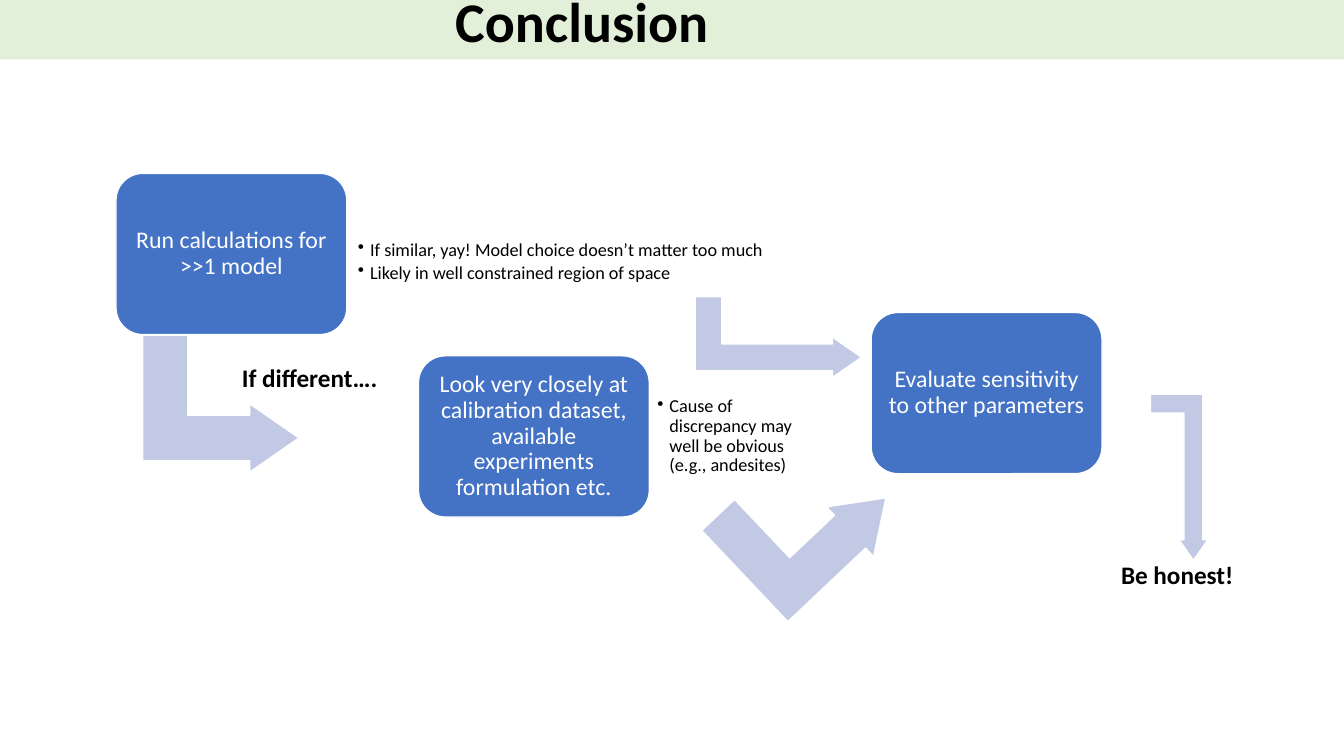
from pptx import Presentation
from pptx.util import Inches, Pt
from pptx.dml.color import RGBColor
from pptx.enum.shapes import MSO_SHAPE
from pptx.enum.text import MSO_ANCHOR, PP_ALIGN
from lxml.etree import SubElement
from pptx.oxml.ns import qn


class Flow:
    """Draw a flow chart on a slide with a grid of tenths of an inch."""

    font = "Calibri"
    hues = {"band": "E2F0D9", "node": "4472C4", "arrow": "C1C9E4",
            "edge": "FFFFFF", "light": "FFFFFF", "dark": "000000"}

    def __init__(self, deck):
        self.slide = deck.slides.add_slide(deck.slide_layouts[6])
        self.cell = Inches(0.1)

    def hue(self, name):
        return RGBColor.from_string(self.hues[name])

    def place(self, box):
        return [round(n * self.cell) for n in box]

    def shape(self, kind, box, fill, edge=True):
        item = self.slide.shapes.add_shape(kind, *self.place(box))
        item.shadow.inherit = False
        item.fill.solid()
        item.fill.fore_color.rgb = self.hue(fill)
        if edge:
            item.line.color.rgb = self.hue("edge")
            item.line.width = Pt(1)
        else:
            item.line.fill.background()
        return item

    def letter(self, item, lines, size, hue="dark", bold=False,
               align=PP_ALIGN.LEFT, anchor=MSO_ANCHOR.TOP,
               pad=None, space=1.0, dots=False):
        frame = item.text_frame
        frame.word_wrap = True
        frame.vertical_anchor = anchor
        if pad is not None:
            frame.margin_left = frame.margin_right = Inches(pad)
            frame.margin_top = frame.margin_bottom = Inches(pad)
        frame.text = "\n".join(lines)
        for para in frame.paragraphs:
            para.alignment = align
            para.line_spacing = space
            if dots:
                para.space_after = Pt(2)
                props = para._p.get_or_add_pPr()
                props.set("marL", str(Inches(0.12)))
                props.set("indent", str(-Inches(0.12)))
                SubElement(props, qn("a:buChar")).set("char", "•")
            font = para.font
            font.name, font.size, font.bold = self.font, Pt(size), bold
            font.color.rgb = self.hue(hue)

    def title(self, box, text):
        item = self.shape(MSO_SHAPE.RECTANGLE, box, "band", edge=False)
        self.letter(item, [text], 40, bold=True, align=PP_ALIGN.CENTER)

    def node(self, left, top, text):
        box = left, top, 22.9, 16
        item = self.shape(MSO_SHAPE.ROUNDED_RECTANGLE, box, "node")
        self.letter(item, [text], 17, "light", align=PP_ALIGN.CENTER,
                    anchor=MSO_ANCHOR.MIDDLE, pad=0.07, space=0.9)

    def text(self, box, lines, size, **style):
        item = self.slide.shapes.add_textbox(*self.place(box))
        self.letter(item, lines, size, **style)

    def notes(self, box, *lines):
        self.text(box, lines, 13, anchor=MSO_ANCHOR.MIDDLE,
                  pad=0.07, space=0.9, dots=True)

    def label(self, box, text):
        self.text(box, [text], 18, bold=True)

    def arrow(self, box, turn, flip=False):
        item = self.shape(MSO_SHAPE.BENT_UP_ARROW, box, "arrow")
        for at, share in enumerate((0.33, 0.25, 0.36)):
            item.adjustments[at] = share
        item.rotation = turn
        if flip:
            item._element.spPr.xfrm.set("flipH", "1")


def main():
    deck = Presentation()
    deck.slide_width, deck.slide_height = Inches(13.33), Inches(7.5)
    flow = Flow(deck)
    flow.title((-18, -1.8, 151.4, 7.7), "Conclusion")

    flow.arrow((15.1, 32.3, 13.6, 15.5), 90)
    flow.node(11.5, 17.2, "Run calculations for >>1 model")
    flow.notes((34.8, 19.5, 63.8, 13),
               "If similar, yay! Model choice doesn’t matter too much",
               "Likely in well constrained region of space")

    flow.arrow((73.1, 44.5, 13.6, 15.5), 46.6)
    flow.node(41.5, 35.3, "Look very closely at calibration dataset, "
              "available experiments formulation etc.")
    flow.notes((64.5, 36.8, 16.7, 13), "Cause of discrepancy may "
               "well be obvious (e.g., andesites)")

    flow.node(86.4, 31, "Evaluate sensitivity to other parameters")
    flow.label((23, 35.5, 17.8, 4), "If different….")
    flow.arrow((73.2, 25.2, 8, 16.5), 90)
    flow.arrow((114.1, 39.1, 5.7, 16.5), 180, flip=True)
    flow.label((110.2, 55, 15.1, 4), "Be honest!")
    deck.save("out.pptx")


if __name__ == "__main__":
    main()
